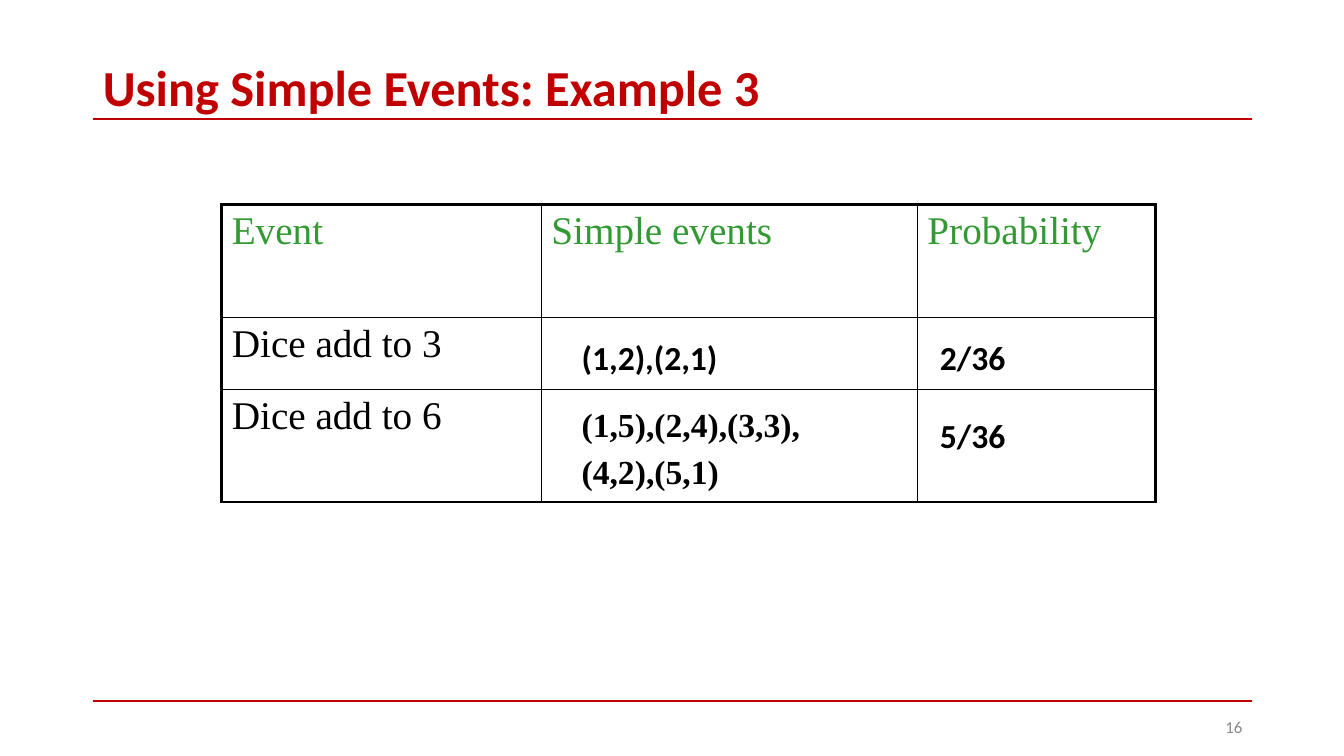
from lxml import etree
from pptx import Presentation
from pptx.dml.color import RGBColor
from pptx.enum.shapes import MSO_CONNECTOR
from pptx.enum.text import MSO_ANCHOR, MSO_AUTO_SIZE, PP_ALIGN
from pptx.oxml.ns import qn
from pptx.util import Inches, Pt

RED = RGBColor(0xC0, 0x00, 0x00)
GREEN = RGBColor(0x33, 0x99, 0x33)
GREY = RGBColor(0x88, 0x88, 0x88)
BLACK = RGBColor(0x00, 0x00, 0x00)
SANS, SERIF = "Calibri", "Times New Roman"
LEFT, RIGHT = 6.9, 93.17  # content margins, percent of slide width
THIN, THICK = 1, 2.25  # table rules, points


class SlideBuilder:
    """Places elements by percentages of the slide's width and height."""

    def __init__(self, presentation):
        self.width = presentation.slide_width
        self.height = presentation.slide_height
        self.slide = presentation.slides.add_slide(presentation.slide_layouts[5])

    def x(self, percent):
        return round(self.width * percent / 100)

    def y(self, percent):
        return round(self.height * percent / 100)

    def style(self, paragraph, size, color, name=SANS, bold=False):
        font = paragraph.font
        font.size, font.name, font.bold = Pt(size), name, bold
        font.color.rgb = color

    def rule(self, top):
        line = self.slide.shapes.add_connector(
            MSO_CONNECTOR.STRAIGHT, self.x(LEFT), self.y(top), self.x(RIGHT), self.y(top))
        line.line.color.rgb = RED
        line.line.width = Pt(1.5)
        etree.SubElement(line._element.spPr, qn("a:effectLst"))

    def title(self, text, top, height):
        title = self.slide.shapes.title
        title.left, title.top = self.x(LEFT), self.y(top)
        title.width, title.height = self.x(RIGHT - LEFT), self.y(height)
        frame = title.text_frame
        frame.text = text
        frame.auto_size = MSO_AUTO_SIZE.NONE
        frame.vertical_anchor = MSO_ANCHOR.MIDDLE
        paragraph = frame.paragraphs[0]
        paragraph.alignment = PP_ALIGN.LEFT
        paragraph.line_spacing = 0.9
        self.style(paragraph, 36, RED, bold=True)

    def text(self, lines, left, top, width, height, size=24, color=BLACK,
             name=SANS, bold=True, align=PP_ALIGN.LEFT, anchor=MSO_ANCHOR.TOP):
        box = self.slide.shapes.add_textbox(
            self.x(left), self.y(top), self.x(width), self.y(height))
        frame = box.text_frame
        frame.word_wrap = True
        frame.vertical_anchor = anchor
        frame.text = "\n".join(lines)
        for index, paragraph in enumerate(frame.paragraphs):
            paragraph.alignment = align
            if index:
                paragraph.space_before = Pt(4.8)
            self.style(paragraph, size, color, name, bold)

    def border(self, cell, side, points):
        properties = cell._tc.get_or_add_tcPr()
        line = etree.SubElement(properties, qn(f"a:ln{side}"), w=str(Pt(points)))
        fill = etree.SubElement(line, qn("a:solidFill"))
        etree.SubElement(fill, qn("a:srgbClr"), val=str(BLACK))

    def table(self, rows, left, top, widths, heights):
        table = self.slide.shapes.add_table(
            len(heights), len(widths), self.x(left), self.y(top),
            self.x(sum(widths)), self.y(sum(heights))).table
        table.first_row = table.horz_banding = False
        for column, width in zip(table.columns, widths):
            column.width = self.x(width)
        for row, height in zip(table.rows, heights):
            row.height = self.y(height)
        last = len(widths) - 1
        for row_index, row in enumerate(rows):
            for column_index, text in enumerate(row):
                cell = table.cell(row_index, column_index)
                # Heavy outline on the left, right and top only
                self.border(cell, "L", THIN if column_index else THICK)
                self.border(cell, "R", THICK if column_index == last else THIN)
                self.border(cell, "T", THIN if row_index else THICK)
                self.border(cell, "B", THIN)
                cell.fill.background()
                if text:
                    cell.text = text
                    self.style(cell.text_frame.paragraphs[0], 28,
                               BLACK if row_index else GREEN, SERIF)


def main():
    presentation = Presentation()
    presentation.slide_width, presentation.slide_height = Inches(13.33), Inches(7.5)
    builder = SlideBuilder(presentation)

    # Frame: rules, title and page number
    for top in (15.73, 92.67):
        builder.rule(top)
    builder.title("Using Simple Events: Example 3", 8.13, 7.73)
    builder.text(["16"], 70.67, 93.47, 22.5, 5.33, size=12, color=GREY, bold=False,
                 align=PP_ALIGN.RIGHT, anchor=MSO_ANCHOR.MIDDLE)

    # Table of events
    builder.table([["Event", "Simple events", "Probability"],
                   ["Dice add to 3", "", ""],
                   ["Dice add to 6", "", ""]],
                  16.5, 27.07, (23.78, 27.98, 17.7), (14.93, 9.47, 14.93))

    # Answers laid over the table
    events, probability = 42.54, 69.2
    builder.text(["(1,2),(2,1)"], events, 43.87, 12.38, 6.67)
    builder.text(["2/36"], probability, 43.87, 10.2, 6.67)
    builder.text(["(1,5),(2,4),(3,3),", "(4,2),(5,1)"], events, 52.8, 21.9, 13.2, name=SERIF)
    builder.text(["5/36"], probability, 54.27, 10.2, 6.67)

    presentation.save("out.pptx")


if __name__ == "__main__":
    main()
